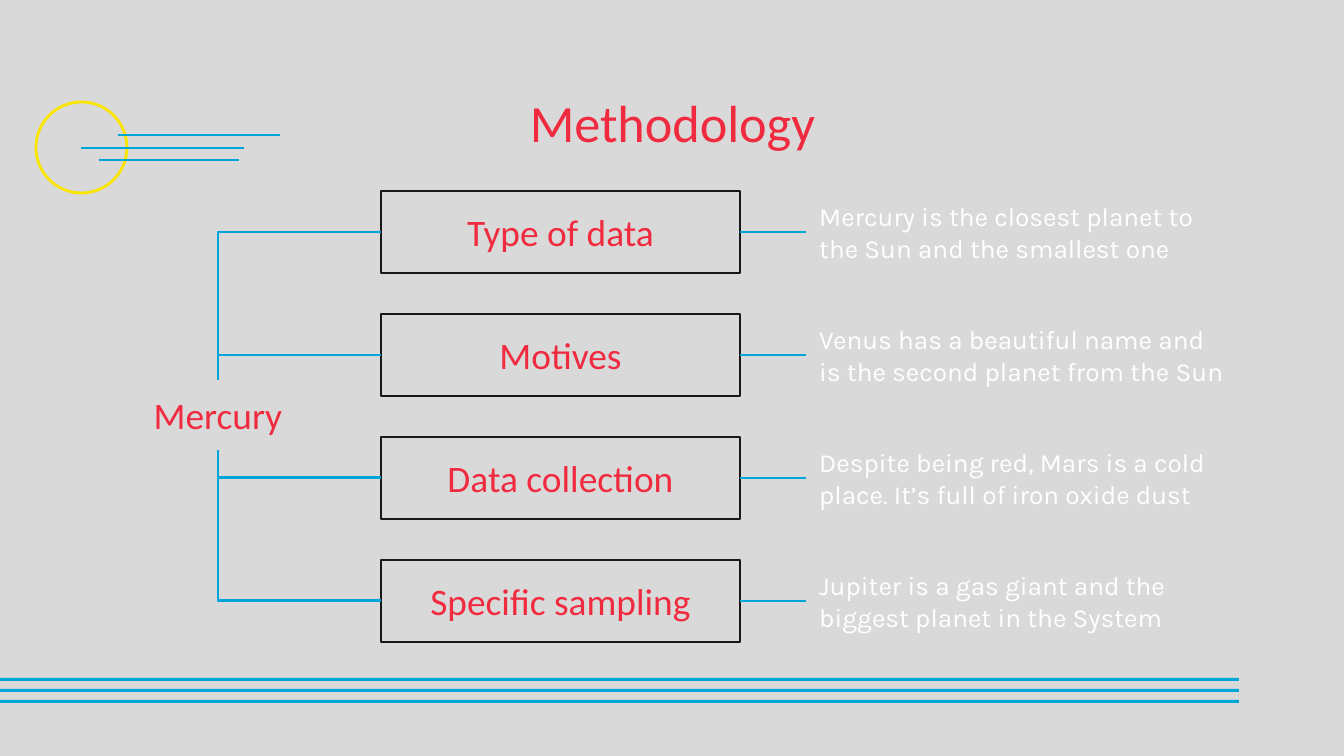
"""Build the Methodology slide: a root, four branches and their notes."""
from lxml import etree
from pptx import Presentation
from pptx.dml.color import RGBColor
from pptx.enum.shapes import MSO_CONNECTOR, MSO_SHAPE
from pptx.enum.text import MSO_ANCHOR, PP_ALIGN
from pptx.oxml.ns import qn
from pptx.util import Inches, Pt

TITLE = "Methodology"
ROOT = "Mercury"
ROWS = [
    ("Type of data", "Mercury is the closest planet to the Sun and the smallest one"),
    ("Motives", "Venus has a beautiful name and is the second planet from the Sun"),
    ("Data collection", "Despite being red, Mars is a cold place. It’s full of iron oxide dust"),
    ("Specific sampling", "Jupiter is a gas giant and the biggest planet in the System"),
]
DASHES = [(118, 135, 280), (81, 148, 244), (99, 160, 239)]

GREY = RGBColor(0xD9, 0xD9, 0xD9)
BLUE = RGBColor(0x00, 0xA6, 0xD8)
RED = RGBColor(0xF0, 0x2B, 0x3F)
WHITE = RGBColor(0xFF, 0xFF, 0xFF)
BLACK = RGBColor(0x18, 0x18, 0x18)
YELLOW = RGBColor(0xF9, 0xE5, 0x00)
RECT, OVAL = MSO_SHAPE.RECTANGLE, MSO_SHAPE.OVAL
LINE, ELBOW = MSO_CONNECTOR.STRAIGHT, MSO_CONNECTOR.ELBOW
LEFT, CENTER = PP_ALIGN.LEFT, PP_ALIGN.CENTER
MIDDLE = MSO_ANCHOR.MIDDLE

WIDE, HIGH = 1344, 756
SCALE = Inches(10) / WIDE
BOX_X, BOX_Y, BOX_W, BOX_H, STEP = 381, 191, 359, 82, 123
NOTE_X, NOTE_W, NOTE_H = 806, 433, 104


def px(*vals):
    return [round(v * SCALE) for v in vals]


def write(shape, text, size=20, font="Calibri", color=RED, align=CENTER):
    frame = shape.text_frame
    frame.word_wrap = True
    frame.vertical_anchor = MIDDLE
    frame.margin_left = frame.margin_right = Inches(0.1)
    frame.margin_top = frame.margin_bottom = Inches(0.1)
    para = frame.paragraphs[0]
    para.alignment = align
    run = para.add_run()
    run.text = text
    run.font.size = Pt(size)
    run.font.name = font
    run.font.color.rgb = color


def label(area, text, **style):
    box = slide.shapes.add_textbox(*px(*area))
    write(box, text, **style)
    return box


def draw(kind, area, fill=None, line=None, width=1.5):
    shape = slide.shapes.add_shape(kind, *px(*area))
    shape.shadow.inherit = False
    if fill is None:
        shape.fill.background()
    else:
        shape.fill.solid()
        shape.fill.fore_color.rgb = fill
    if line is None:
        shape.line.fill.background()
    else:
        shape.line.color.rgb = line
        shape.line.width = Pt(width)
    return shape


def link(kind, *ends):
    wire = slide.shapes.add_connector(kind, *px(*ends))
    wire.line.color.rgb = BLUE
    wire.line.width = Pt(1.5)
    props = wire._element.spPr
    etree.SubElement(props, qn("a:effectLst"))
    if kind == ELBOW:
        props.find(qn("a:prstGeom")).set("prst", "bentConnector2")
    return wire


deck = Presentation()
deck.slide_width, deck.slide_height = px(WIDE, HIGH)
slide = deck.slides.add_slide(deck.slide_layouts[6])
slide.background.fill.solid()
slide.background.fill.fore_color.rgb = GREY

for i in range(3):
    draw(RECT, (0, 678 + 11 * i, 1239, 3), fill=BLUE)

label((106, 79, 1133, 85), TITLE, size=28)
root = label((115, 380, 206, 70), ROOT)

for i, (name, note) in enumerate(ROWS):
    top = BOX_Y + STEP * i
    mid = top + BOX_H // 2
    label((NOTE_X, mid - NOTE_H // 2, NOTE_W, NOTE_H), note,
          size=14, font="Karla", color=WHITE, align=LEFT)
    box = draw(RECT, (BOX_X, top, BOX_W, BOX_H), line=BLACK, width=0.75)
    write(box, name)
    upper = i < len(ROWS) // 2
    bend = link(ELBOW, BOX_X, mid, 218, 380 if upper else 450)
    bend.begin_connect(box, 1)
    bend.end_connect(root, 0 if upper else 2)
    arm = link(LINE, BOX_X + BOX_W, mid, NOTE_X, mid)
    arm.begin_connect(box, 3)
    arm.end_connect(slide.shapes[-4], 1)

draw(OVAL, (36, 102, 91, 91), line=YELLOW)
for start, y, end in DASHES:
    link(LINE, start, y, end, y)

deck.save("out.pptx")
